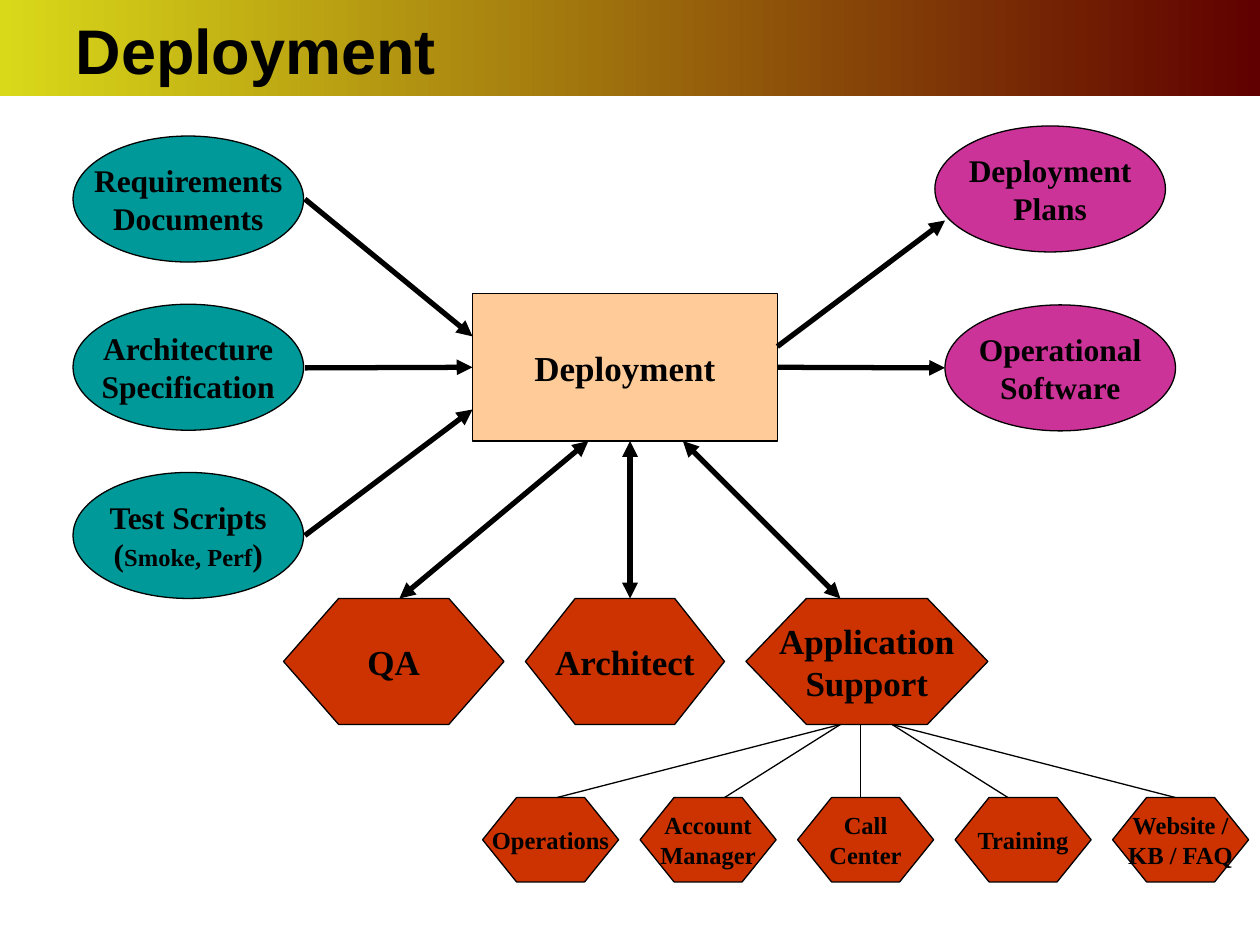
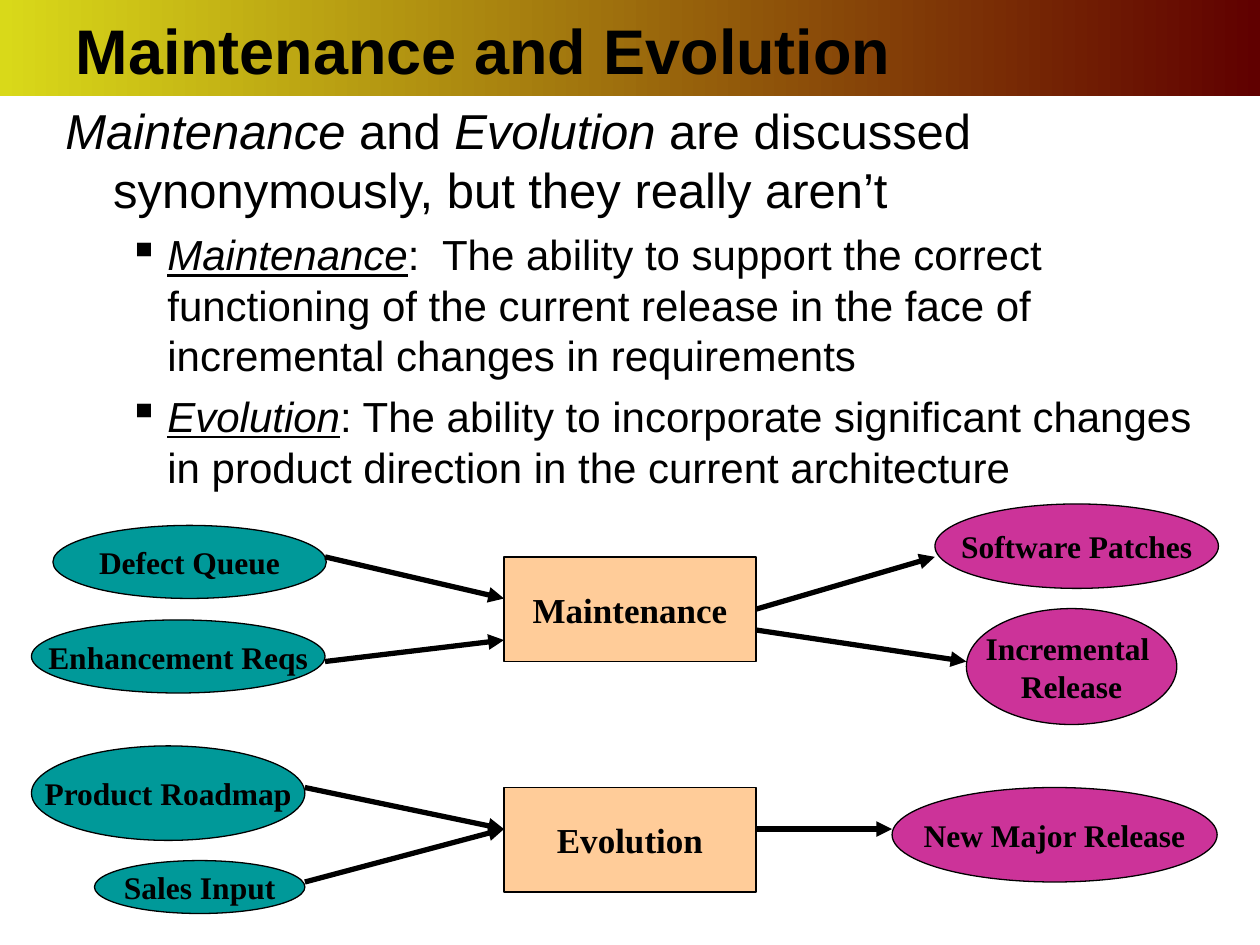
from dataclasses import dataclass
from typing import NamedTuple

import lxml.etree
import pptx
import pptx.dml.color
import pptx.enum.shapes
import pptx.enum.text
import pptx.oxml.ns
import pptx.util

Inches = pptx.util.Inches
Pt = pptx.util.Pt
qn = pptx.oxml.ns.qn
Shape = pptx.enum.shapes.MSO_SHAPE
Align = pptx.enum.text.PP_ALIGN


@dataclass(frozen=True)
class Theme:
    ink: str = "000000"
    band_start: str = "D9D919"
    band_end: str = "600000"
    process: str = "FFCC99"
    source: str = "009999"
    product: str = "CC3399"
    role: str = "CC3300"
    heading_font: str = "Arial"
    diagram_font: str = "Times New Roman"
    title_size: int = 36
    lead_size: int = 28
    bullet_size: int = 24
    process_size: int = 20
    label_size: int = 18
    small_size: int = 14
    outline: float = 0.75
    arrow: float = 3


THEME = Theme()


class Kind(NamedTuple):
    shape: Shape
    fill: str
    size: int


PROCESS = Kind(Shape.RECTANGLE, THEME.process, THEME.process_size)
SOURCE = Kind(Shape.OVAL, THEME.source, THEME.label_size)
PRODUCT = Kind(Shape.OVAL, THEME.product, THEME.label_size)
ROLE = Kind(Shape.HEXAGON, THEME.role, THEME.process_size)
TEAM = Kind(Shape.HEXAGON, THEME.role, THEME.small_size)


class Node(NamedTuple):
    kind: Kind
    text: str
    left: float
    top: float
    width: float
    height: float


class Link(NamedTuple):
    x1: float
    y1: float
    x2: float
    y2: float
    head: bool = False
    tail: bool = True
    width: float = THEME.arrow


class Run(NamedTuple):
    text: str
    size: int
    italic: bool = False
    underline: bool = False


def rgb(value: str):
    return pptx.dml.color.RGBColor.from_string(value)


def format_run(r, font: str, size: int, bold: bool = False) -> None:
    r.font.name = font
    r.font.size = Pt(size)
    r.font.bold = bold
    r.font.color.rgb = rgb(THEME.ink)


def add_runs(p, runs: list[Run], font: str, bold: bool = False) -> None:
    for run in runs:
        r = p.add_run()
        r.text = run.text
        format_run(r, font, run.size, bold)
        r.font.italic = run.italic
        r.font.underline = run.underline


def add_band(slide) -> None:
    """Put the gradient band on the slide's layout, behind the title."""
    sp = slide.shapes.add_shape(Shape.RECTANGLE, 0, 0, Inches(10), Inches(0.76))
    sp.shadow.inherit = False
    sp.line.fill.background()
    sp.fill.gradient()
    sp.fill.gradient_angle = 0
    colors = (THEME.band_start, THEME.band_end)
    for position, (stop, color) in enumerate(zip(sp.fill.gradient_stops, colors)):
        stop.position = position
        stop.color.rgb = rgb(color)
    sp.element.nvSpPr.cNvPr.set("id", "99")
    slide.slide_layout.shapes.element.insert(2, sp.element)


def add_title(slide, text: str) -> None:
    sp = slide.shapes.title
    sp.left, sp.top, sp.width, sp.height = map(Inches, (0.5, 0, 9, 0.78))
    tf = sp.text_frame
    tf.text = text
    tf.auto_size = pptx.enum.text.MSO_AUTO_SIZE.NONE
    tf.vertical_anchor = pptx.enum.text.MSO_ANCHOR.MIDDLE
    p = tf.paragraphs[0]
    p.alignment = Align.LEFT
    format_run(p.runs[0], THEME.heading_font, THEME.title_size, bold=True)


def add_node(slide, node: Node):
    box = map(Inches, (node.left, node.top, node.width, node.height))
    sp = slide.shapes.add_shape(node.kind.shape, *box)
    sp.shadow.inherit = False
    sp.fill.solid()
    sp.fill.fore_color.rgb = rgb(node.kind.fill)
    sp.line.color.rgb = rgb(THEME.ink)
    sp.line.width = Pt(THEME.outline)
    if node.kind.shape == Shape.HEXAGON:
        sp.adjustments[0] = node.width / node.height / 4
    tf = sp.text_frame
    tf.text = node.text
    tf.word_wrap = False
    tf.vertical_anchor = pptx.enum.text.MSO_ANCHOR.MIDDLE
    for p in tf.paragraphs:
        p.alignment = Align.CENTER
        for r in p.runs:
            format_run(r, THEME.diagram_font, node.kind.size, bold=True)
    return sp


def side_at(sp, x: float, y: float) -> int | None:
    """Return the side of sp whose middle lies at the point, if any."""
    cx, cy = sp.left + sp.width / 2, sp.top + sp.height / 2
    middles = ((cx, sp.top), (sp.left, cy),
               (cx, sp.top + sp.height), (sp.left + sp.width, cy))
    near = Inches(0.02)
    for side, (mx, my) in enumerate(middles):
        if abs(mx - Inches(x)) < near and abs(my - Inches(y)) < near:
            return side
    return None


def add_link(slide, link: Link, processes: list) -> None:
    ends = map(Inches, (link.x1, link.y1, link.x2, link.y2))
    c = slide.shapes.add_connector(
        pptx.enum.shapes.MSO_CONNECTOR.STRAIGHT, *ends)
    c.line.color.rgb = rgb(THEME.ink)
    c.line.width = Pt(link.width)
    spPr = c.element.spPr
    ln = spPr.find(qn("a:ln"))
    for tag, shown in (("a:headEnd", link.head), ("a:tailEnd", link.tail)):
        if shown:
            lxml.etree.SubElement(ln, qn(tag), type="triangle")
    lxml.etree.SubElement(spPr, qn("a:effectLst"))
    for sp in processes:
        start = side_at(sp, link.x1, link.y1)
        end = side_at(sp, link.x2, link.y2)
        if start is not None:
            c.begin_connect(sp, start)
        if end is not None:
            c.end_connect(sp, end)


def add_diagram(slide, nodes: list[Node], links: list[Link]) -> list:
    shapes = [add_node(slide, node) for node in nodes]
    processes = [sp for sp, node in zip(shapes, nodes) if node.kind == PROCESS]
    for link in links:
        add_link(slide, link, processes)
    return shapes


def set_indent(p, left: float, hanging: float, bullet: str = "") -> None:
    pPr = p._p.get_or_add_pPr()
    pPr.set("marL", str(Inches(left)))
    pPr.set("indent", str(-Inches(hanging)))
    if bullet:
        color = lxml.etree.SubElement(pPr, qn("a:buClr"))
        lxml.etree.SubElement(color, qn("a:srgbClr"), val=THEME.ink)
        lxml.etree.SubElement(pPr, qn("a:buChar"), char=bullet)


def add_definitions(slide) -> None:
    box = map(Inches, (0.42, 0.75, 9.25, 3.25))
    tf = slide.shapes.add_textbox(*box).text_frame
    tf.word_wrap = True
    lead = THEME.lead_size
    p = tf.paragraphs[0]
    set_indent(p, 0.38, 0.38)
    add_runs(p, [
        Run("Maintenance", lead, italic=True),
        Run(" and ", lead),
        Run("Evolution", lead, italic=True),
        Run(" are discussed synonymously, but they really aren’t", lead),
    ], THEME.heading_font)
    definitions = (
        ("Maintenance", ":  The ability to support the correct functioning of the "
                        "current release in the face of incremental changes in "
                        "requirements"),
        ("Evolution", ": The ability to incorporate significant changes in product "
                      "direction in the current architecture"),
    )
    for term, meaning in definitions:
        p = tf.add_paragraph()
        p.level = 1
        set_indent(p, 0.81, 0.31, "▪")
        p.space_before = Pt(6)
        add_runs(p, [Run(term, THEME.bullet_size, italic=True, underline=True),
                     Run(meaning, THEME.bullet_size)], THEME.heading_font)


def build_deployment(slide) -> None:
    add_title(slide, "Deployment")
    sources = ("Requirements\nDocuments", "Architecture\nSpecification",
               "Test Scripts\n")
    teams = ("Operations", "Account\nManager", "Call\nCenter", "Training",
             "Website /\nKB / FAQ")
    nodes = [Node(SOURCE, text, 0.58, 1.08 + 1.335 * i, 1.83, 1)
             for i, text in enumerate(sources)]
    nodes += [
        Node(PROCESS, "Deployment", 3.75, 2.33, 2.42, 1.17),
        Node(PRODUCT, "Deployment\nPlans", 7.42, 1, 1.83, 1),
        Node(PRODUCT, "Operational\nSoftware", 7.5, 2.42, 1.83, 1),
        Node(ROLE, "QA", 2.25, 4.75, 1.75, 1),
        Node(ROLE, "Architect", 4.17, 4.75, 1.58, 1),
        Node(ROLE, "Application\nSupport", 5.92, 4.75, 1.92, 1),
    ]
    nodes += [Node(TEAM, text, 3.83 + 1.25 * i, 6.33, 1.08, 0.67)
              for i, text in enumerate(teams)]
    links = [
        Link(2.42, 2.92, 3.75, 2.92),
        Link(2.42, 1.58, 3.75, 2.67),
        Link(2.42, 4.25, 3.75, 3.25),
        Link(6.17, 2.92, 7.5, 2.92),
        Link(6.17, 2.75, 7.5, 1.75),
    ]
    links += [Link(role_x, 4.75, process_x, 3.5, head=True)
              for role_x, process_x in ((3.17, 4.67), (5, 5), (6.67, 5.42))]
    links += [Link(support_x, 5.75, team_x, 6.33, tail=False, width=THEME.outline)
              for support_x, team_x in ((6.67, 4.42), (6.67, 5.75), (6.83, 6.83),
                                        (7.08, 8), (7.08, 9.33))]
    shapes = add_diagram(slide, nodes, links)
    test_kinds = shapes[len(sources) - 1].text_frame.paragraphs[1]
    add_runs(test_kinds, [Run("(", THEME.label_size),
                          Run("Smoke, Perf", THEME.small_size),
                          Run(")", THEME.label_size)],
             THEME.diagram_font, bold=True)


def build_evolution(slide) -> None:
    add_title(slide, "Maintenance and Evolution")
    add_definitions(slide)
    nodes = [
        Node(PROCESS, "Maintenance", 4, 4.42, 2, 0.83),
        Node(SOURCE, "Defect Queue", 0.42, 4.17, 2.17, 0.58),
        Node(SOURCE, "Enhancement Reqs", 0.25, 4.92, 2.33, 0.58),
        Node(PRODUCT, "Software Patches", 7.42, 4, 2.25, 0.67),
        Node(PRODUCT, "Incremental \nRelease", 7.67, 4.83, 1.67, 0.92),
        Node(PROCESS, "Evolution", 4, 6.25, 2, 0.83),
        Node(SOURCE, "Product Roadmap", 0.25, 5.92, 2.17, 0.75),
        Node(SOURCE, "Sales Input", 0.75, 6.83, 1.67, 0.42),
        Node(PRODUCT, "New Major Release", 7.08, 6.25, 2.58, 0.75),
    ]
    links = [
        Link(2.58, 4.42, 4, 4.75),
        Link(2.58, 5.25, 4, 5.08),
        Link(6, 4.83, 7.42, 4.42),
        Link(6, 5, 7.67, 5.25),
        Link(2.42, 6.25, 4, 6.58),
        Link(2.42, 7, 4, 6.58),
        Link(6, 6.58, 7.08, 6.58),
    ]
    add_diagram(slide, nodes, links)


def main() -> None:
    prs = pptx.Presentation()
    prs.slide_width, prs.slide_height = Inches(10), Inches(7.5)
    title_only = prs.slide_layouts[5]
    deployment = prs.slides.add_slide(title_only)
    add_band(deployment)
    build_deployment(deployment)
    build_evolution(prs.slides.add_slide(title_only))
    prs.save("out.pptx")


if __name__ == "__main__":
    main()
